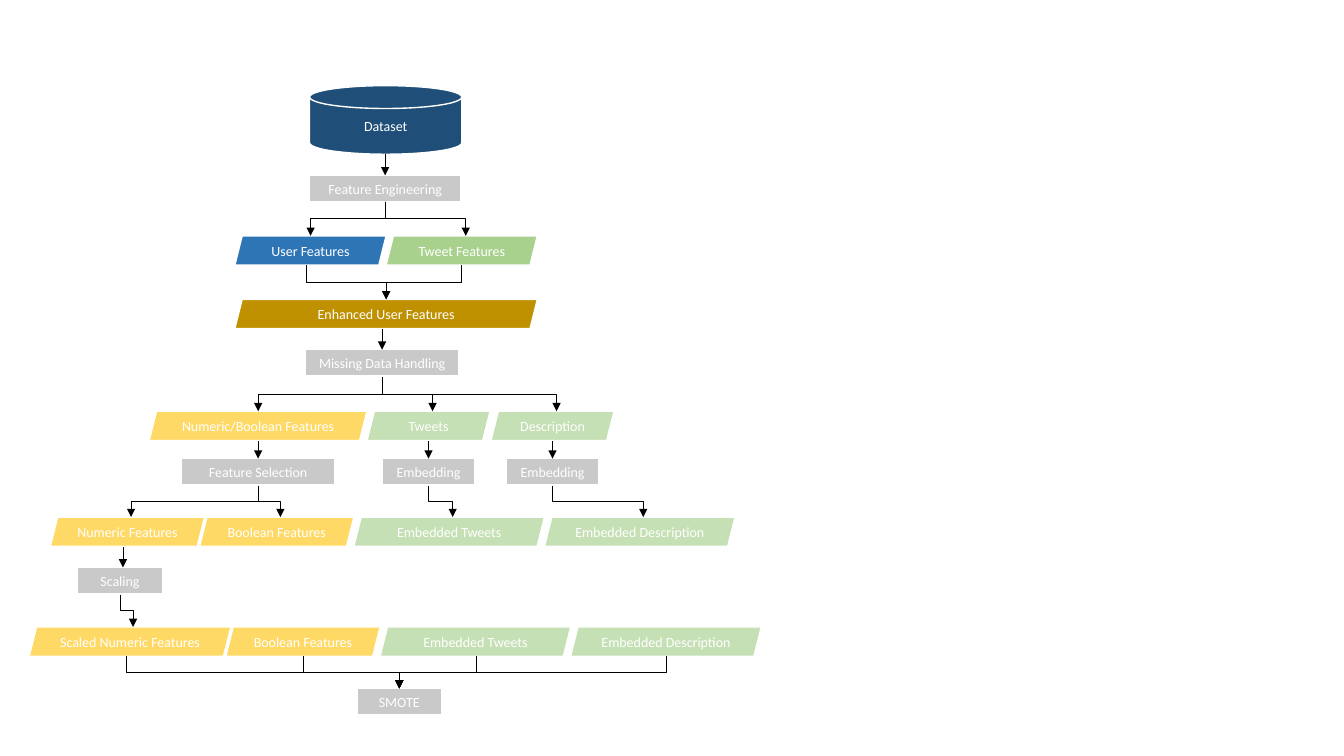
from lxml import etree
from pptx import Presentation, util as u
from pptx.dml.color import RGBColor
from pptx.enum import shapes, text
from pptx.oxml.ns import qn

PX = 9144  # 100 px to the inch
COLORS = {
    "white": "FFFFFF", "black": "000000", "navy": "1F4E79", "gray": "C9C9C9",
    "blue": "2E75B6", "green": "A9D18E", "gold": "BF9000",
    "yellow": "FFD966", "pale": "C5E0B4",
}
RECT = shapes.MSO_SHAPE.RECTANGLE
DATA = shapes.MSO_SHAPE.PARALLELOGRAM
DISK = shapes.MSO_SHAPE.FLOWCHART_MAGNETIC_DISK


def color(name):
    return RGBColor.from_string(COLORS[name])


def add_arrow(kind, x1, y1, x2, y2):
    c = flow.add_connector(kind, *(round(v * PX) for v in (x1, y1, x2, y2)))
    c.line.width = u.Pt(0.5)
    c.line.color.rgb = color("black")
    etree.SubElement(c.line._get_or_add_ln(), qn("a:tailEnd"), type="triangle")
    etree.SubElement(c._element.spPr, qn("a:effectLst"))
    return c


prs = Presentation()
prs.slide_width, prs.slide_height = 1333 * PX, 750 * PX
s = prs.slides.add_slide(prs.slide_layouts[6])
flow = s.shapes.add_group_shape().shapes

# preset, top, height, then (label, left, width, fill) from left to right
rows = [
    (DISK, 85, 68, [("Dataset", 307, 151, "navy")]),
    (RECT, 174, 26, [("Feature Engineering", 307, 150, "gray")]),
    (DATA, 234, 29, [("User Features", 233, 150, "blue"),
                     ("Tweet Features", 383, 150, "green")]),
    (DATA, 297, 29, [("Enhanced User Features", 233, 300, "gold")]),
    (RECT, 347, 26, [("Missing Data Handling", 303, 152, "gray")]),
    (DATA, 408, 29, [("Numeric/Boolean Features", 148, 216, "yellow"),
                     ("Tweets", 364, 122, "pale"),
                     ("Description", 487, 122, "pale")]),
    (RECT, 455, 26, [("Feature Selection", 180, 152, "gray"),
                     ("Embedding", 379, 92, "gray"),
                     ("Embedding", 502, 92, "gray")]),
    (DATA, 513, 29, [("Numeric Features", 50, 153, "yellow"),
                     ("Boolean Features", 198, 153, "yellow"),
                     ("Embedded Tweets", 351, 189, "pale"),
                     ("Embedded Description", 540, 189, "pale")]),
    (RECT, 563, 26, [("Scaling", 77, 84, "gray")]),
    (DATA, 622, 29, [("Scaled Numeric Features", 29, 200, "yellow"),
                     ("Boolean Features", 224, 153, "yellow"),
                     ("Embedded Tweets", 377, 189, "pale"),
                     ("Embedded Description", 566, 189, "pale")]),
    (RECT, 683, 26, [("SMOTE", 354, 84, "gray")]),
]
steps = []
for preset, top, height, cells in rows:
    for label, left, width, fill in cells:
        sp = flow.add_shape(preset, left * PX, top * PX, width * PX, height * PX)
        sp.shadow.inherit = False
        sp.fill.solid()
        sp.fill.fore_color.rgb = color(fill)
        sp.line.color.rgb = color("white")
        sp.line.width = u.Pt(1)
        tf = sp.text_frame
        tf.text = label
        tf.vertical_anchor = text.MSO_ANCHOR.MIDDLE
        p = tf.paragraphs[0]
        p.alignment = text.PP_ALIGN.CENTER
        font = p.runs[0].font
        font.name, font.size = "Calibri", u.Pt(10)
        font.color.rgb = color("white")
        if preset == RECT:
            steps.append(sp)

engineering, missing, selection, embed_tweets, embed_description = steps[:5]
straight = [
    (382, 153, 174, engineering), (379, 326, 347, missing),
    (256, 438, 455, selection), (425, 438, 455, embed_tweets),
    (548, 438, 455, embed_description), (122, 543, 563, None),
]
for x, y1, y2, step in straight:
    c = add_arrow(shapes.MSO_CONNECTOR.STRAIGHT, x, y1, x, y2)
    if step is not None:
        c.end_connect(step, 0)

# start y, end y, then (start x, end x) of each branch
branches = [
    (200, 234, [(382, 462), (382, 308)]),
    (263, 297, [(304, 383), (458, 383)]),
    (374, 408, [(379, 256), (379, 429), (379, 552)]),
    (482, 513, [(425, 449), (548, 638), (256, 130), (256, 278)]),
    (590, 622, [(119, 132)]),
    (651, 683, [(125, 396), (301, 396), (472, 396), (661, 396)]),
]
for y1, y2, ends in branches:
    for x1, x2 in ends:
        # An elbow leaves sideways, so it is laid flat and turned to leave downwards
        cx, cy = (x1 + x2) / 2, (y1 + y2) / 2
        rightward = x2 > x1
        half_w = (y1 - y2 if rightward else y2 - y1) / 2
        half_h = abs(x2 - x1) / 2
        c = add_arrow(shapes.MSO_CONNECTOR.ELBOW,
                      cx - half_w, cy - half_h, cx + half_w, cy + half_h)
        c._element.spPr.xfrm.set("rot", str((270 if rightward else 90) * 60000))

prs.save("out.pptx")
